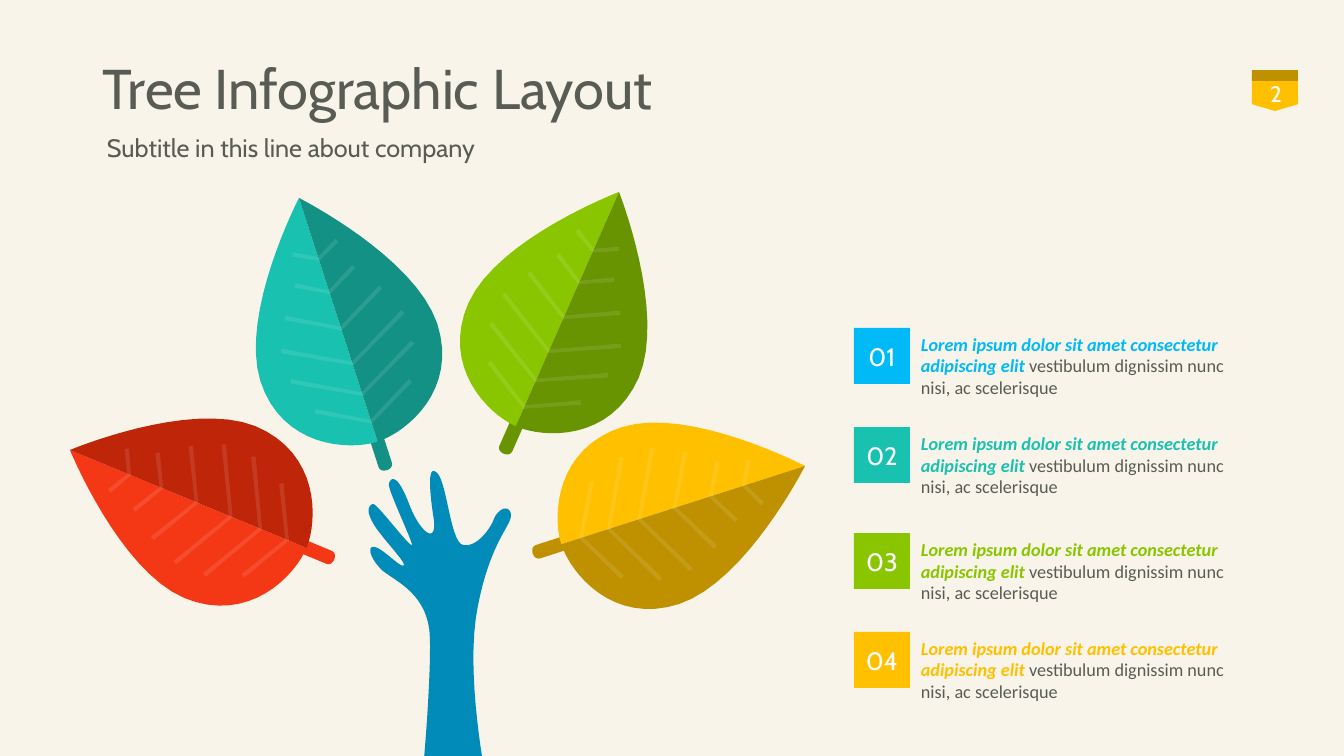
from dataclasses import dataclass
from math import cos, radians, sin
from typing import Optional

from lxml.etree import SubElement
from pptx import Presentation
from pptx.dml.color import RGBColor
from pptx.enum.shapes import MSO_SHAPE as Preset
from pptx.enum.text import MSO_ANCHOR as Anchor, MSO_AUTO_SIZE as AutoSize, PP_ALIGN as Align
from pptx.oxml.ns import qn
from pptx.util import Emu, Pt

PX = 12192000 / 1344  # EMU in one px
CREAM = RGBColor(0xF8, 0xF4, 0xE9)
INK = RGBColor(0x59, 0x5C, 0x54)
WHITE = RGBColor(0xFF, 0xFF, 0xFF)
RED, DARK_RED = RGBColor(0xF4, 0x38, 0x16), RGBColor(0xBF, 0x25, 0x09)
TEAL, DARK_TEAL = RGBColor(0x19, 0xC1, 0xB0), RGBColor(0x13, 0x91, 0x84)
GREEN, DARK_GREEN = RGBColor(0x89, 0xC6, 0x00), RGBColor(0x67, 0x94, 0x00)
GOLD, DARK_GOLD = RGBColor(0xFF, 0xC0, 0x00), RGBColor(0xBF, 0x90, 0x00)
SKY, ARM_BLUE = RGBColor(0x00, 0xBA, 0xF7), RGBColor(0x00, 0x8B, 0xB9)

Point = tuple[float, float]
Box = tuple[int, int, int, int]


@dataclass
class Leaf:
    tip: Point
    angle: float
    light: RGBColor
    dark: RGBColor
    stem: RGBColor


@dataclass
class Vein:
    half_width: int
    rise: int
    bottom: int


@dataclass
class Item:
    number: str
    top: int
    color: RGBColor


@dataclass
class Span:
    text: str
    color: RGBColor
    font: dict


LEAVES = [
    Leaf((70, 450), 292.5, RED, DARK_RED, RED),
    Leaf((299, 198), 342.1, TEAL, DARK_TEAL, DARK_TEAL),
    Leaf((619, 192), 23.8, GREEN, DARK_GREEN, DARK_GREEN),
    Leaf((805, 466), 72.2, GOLD, DARK_GOLD, DARK_GOLD),
]
VEINS = [Vein(51, 31, 237), Vein(65, 38, 208), Vein(65, 38, 176),
         Vein(51, 31, 139), Vein(32, 21, 101), Vein(24, 16, 66)]
ITEMS = [Item("01", 328, SKY), Item("02", 427, TEAL), Item("03", 533, GREEN), Item("04", 632, GOLD)]

# Leaf parts in px from the tip, pointing up; each curve is (control, control, end)
HALF_LEAF = [((0, 0), (-92, 91), (-93, 162)), ((-93, 232), (-30, 256), (0, 256))]
STEM_END = [((-7, 284), (-4, 286), (0, 286)), ((4, 286), (7, 284), (7, 280))]
HAND_START = (487, 784)
HAND = [
    ((487, 784), (464, 673), (478, 606)), ((491, 539), (513, 525), (511, 514)),
    ((509, 504), (498, 509), (494, 519)), ((491, 528), (477, 548), (463, 545)),
    ((450, 542), (447, 478), (436, 472)), ((427, 465), (430, 495), (434, 520)),
    ((437, 546), (419, 532), (408, 501)), ((396, 471), (390, 479), (389, 484)),
    ((387, 488), (413, 542), (412, 545)), ((410, 548), (377, 503), (373, 504)),
    ((370, 505), (365, 509), (373, 523)), ((381, 537), (405, 561), (404, 565)),
    ((402, 570), (382, 547), (374, 547)), ((367, 546), (370, 559), (383, 571)),
    ((397, 582), (429, 595), (430, 638)), ((431, 681), (424, 760), (424, 760)),
]

deck = Presentation()
deck.slide_width, deck.slide_height = Emu(12192000), Emu(6858000)
slide = deck.slides.add_slide(deck.slide_layouts[6])
slide.background.fill.solid()
slide.background.fill.fore_color.rgb = CREAM
shapes = slide.shapes


def emu(box: Box) -> list[Emu]:
    return [Emu(round(length * PX)) for length in box]


def curve_points(start: Point, curves: list, steps: int = 16) -> list[Point]:
    """Follow a chain of cubic curves in short straight steps."""
    points = [start]
    for c1, c2, end in curves:
        for t in (step / steps for step in range(1, steps + 1)):
            u = 1 - t
            points.append(tuple(u**3 * a + 3 * u * u * t * b + 3 * u * t * t * c + t**3 * d
                                for a, b, c, d in zip(start, c1, c2, end)))
        start = end
    return points


def paint(shape, color: RGBColor, opacity: Optional[int] = None) -> None:
    shape.fill.solid()
    shape.fill.fore_color.rgb = color
    shape.line.fill.background()
    shape.shadow.inherit = False
    if opacity is not None:
        tint = next(shape._element.iter(qn("a:srgbClr")))
        SubElement(tint, qn("a:alpha")).set("val", str(opacity * 1000))


def outline(points: list[Point], color: RGBColor, opacity: Optional[int] = None):
    start, *rest = [(x * PX, y * PX) for x, y in points]
    builder = shapes.build_freeform(*start, scale=1.0)
    builder.add_line_segments(rest, close=True)
    part = builder.convert_to_shape()
    paint(part, color, opacity)
    return part


def turn(part, tip: Point, angle: float) -> None:
    """Move a part drawn around (0, 0) to the tip and turn it about that point."""
    x, y = part.left + part.width / 2, part.top + part.height / 2
    c, s = cos(radians(angle)), sin(radians(angle))
    part.left = Emu(round(tip[0] * PX + x * c - y * s - part.width / 2))
    part.top = Emu(round(tip[1] * PX + x * s + y * c - part.height / 2))
    part.rotation = angle


def vein_points(vein: Vein) -> list[Point]:
    w, b, top = vein.half_width, vein.bottom, vein.bottom - vein.rise
    return [(-w, top + 4), (0, b), (w, top + 4), (w - 2, top), (0, b - 4), (2 - w, top)]


def draw_leaf(leaf: Leaf) -> None:
    left_half = curve_points((0, 0), HALF_LEAF)
    stem = [(-7, 254), *curve_points((-7, 280), STEM_END), (7, 254)]
    parts = [outline(stem, leaf.stem), outline(left_half, leaf.light),
             outline([(-x, y) for x, y in left_half], leaf.dark)]
    parts += [outline(vein_points(vein), WHITE, 10) for vein in VEINS]
    for part in parts:
        turn(part, leaf.tip, leaf.angle)


def write(shape, spans: list[Span], frame_format: dict, paragraph_format: dict) -> None:
    frame = shape.text_frame
    frame.word_wrap = True
    paragraph = frame.paragraphs[0]
    for target, formats in ((frame, frame_format), (paragraph, paragraph_format)):
        for name, value in formats.items():
            setattr(target, name, value)
    for span in spans:
        run = paragraph.add_run()
        run.text = span.text
        run.font.color.rgb = span.color
        for name, value in span.font.items():
            setattr(run.font, name, value)


def block(preset: Preset, box: Box, color: RGBColor):
    shape = shapes.add_shape(preset, *emu(box))
    paint(shape, color)
    return shape


def cabin(size: int) -> dict:
    return {"name": "Cabin", "size": Pt(size)}


MIDDLE = {"vertical_anchor": Anchor.MIDDLE}
CENTER = {"alignment": Align.CENTER}
GROW = {"auto_size": AutoSize.SHAPE_TO_FIT_TEXT}
BODY = {"name": "Calibri", "size": Pt(13)}
LEAD = BODY | {"bold": True, "italic": True}

# Page badge
block(Preset.FLOWCHART_OFFPAGE_CONNECTOR, (1252, 77, 46, 34), GOLD)
block(Preset.RECTANGLE, (1252, 70, 46, 11), DARK_GOLD)
page_number = shapes.add_textbox(*emu((1231, 74, 90, 40)))
write(page_number, [Span("2", WHITE, cabin(16))], MIDDLE, CENTER)

# Heading
title = shapes.add_textbox(*emu((93, 45, 1159, 92)))
write(title, [Span("Tree Infographic Layout", INK, cabin(40))], MIDDLE, {"line_spacing": 0.9})
subtitle = shapes.add_textbox(*emu((97, 127, 583, 40)))
write(subtitle, [Span("Subtitle in this line about company", INK, cabin(18))], GROW, {})

# Tree: hand and leaves
outline(curve_points(HAND_START, HAND), ARM_BLUE)
for leaf in LEAVES:
    draw_leaf(leaf)

# Numbered list
for item in ITEMS:
    tile = block(Preset.RECTANGLE, (854, item.top, 56, 56), item.color)
    write(tile, [Span(item.number, WHITE, cabin(18))], MIDDLE, CENTER)
    description = shapes.add_textbox(*emu((911, item.top, 325, 77)))
    write(description, [
        Span("Lorem ipsum dolor sit amet consectetur adipiscing elit ", item.color, LEAD),
        Span("vestibulum dignissim nunc nisi, ac scelerisque", INK, BODY),
    ], GROW, {})

deck.save("out.pptx")
